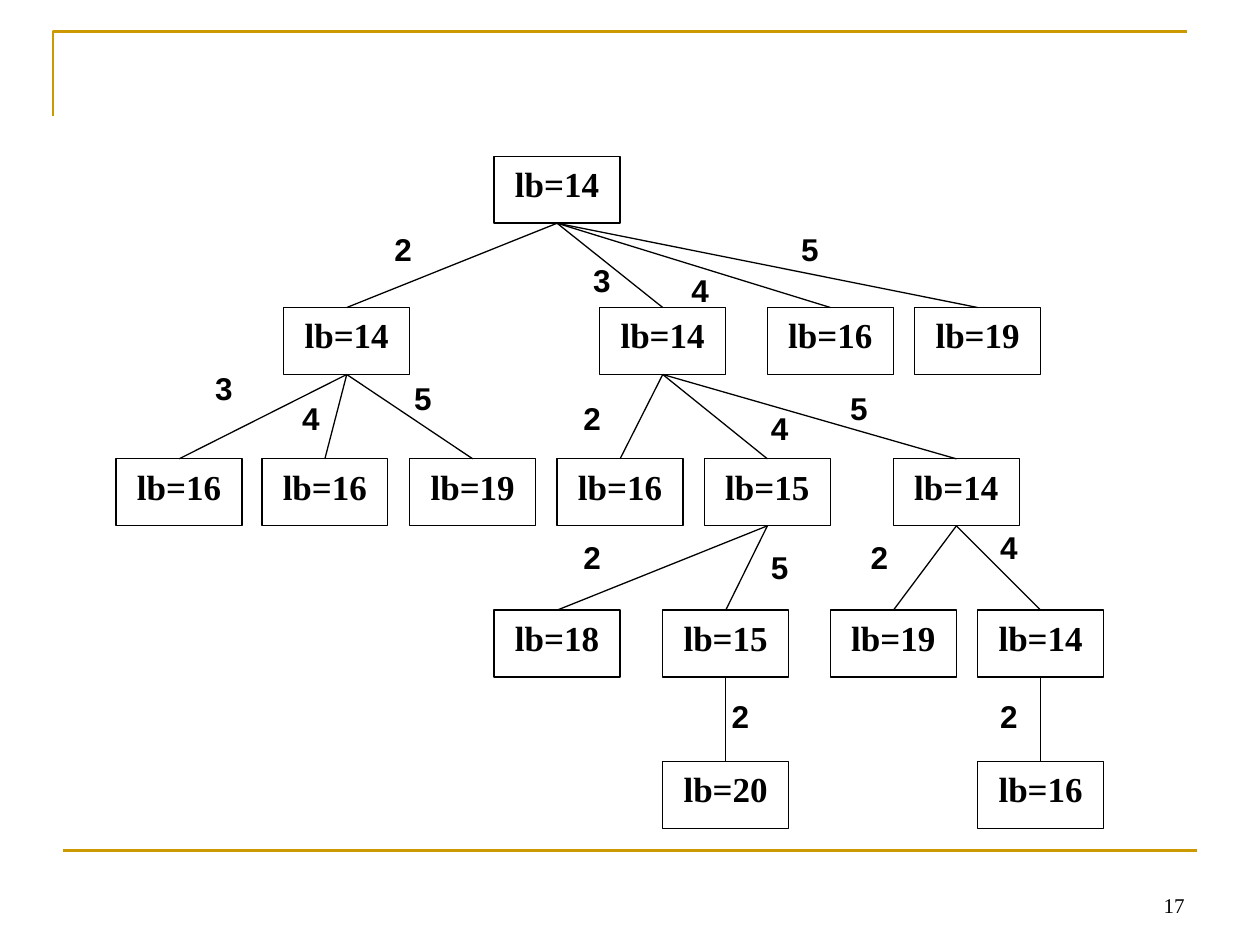
from pptx import Presentation
from pptx.dml.color import RGBColor as Rgb
from pptx.enum.shapes import MSO_CONNECTOR as Link, MSO_SHAPE as Shape
from pptx.enum.text import MSO_ANCHOR as Anchor, PP_ALIGN as Align
from pptx.oxml.ns import qn
from pptx.util import Cm, Pt
from lxml import etree

COLORS = {"gold": "CC9900", "ink": "000000", "paper": "FFFFFF"}
SERIF, SANS = "Times New Roman", "Arial"

BOX_W, BOX_H = 2.54, 1.35
TOP, STEP = 3.15, 3.05  # first row and distance between rows

# key: (row, centre x, bound, parent, branch label, label left, label top)
NODES = {
    "root": (0, 11.23, 14, None, None, 0, 0),
    "a": (1, 6.99, 14, "root", 2, 7.7, 4.52),
    "b": (1, 13.36, 14, "root", 3, 11.71, 5.13),
    "c": (1, 16.74, 16, "root", 4, 13.69, 5.33),
    "d": (1, 19.71, 19, "root", 5, 15.9, 4.52),
    "a3": (2, 3.61, 16, "a", 3, 4.09, 7.32),
    "a4": (2, 6.55, 16, "a", 4, 5.84, 7.92),
    "a5": (2, 9.53, 19, "a", 5, 8.1, 7.52),
    "b2": (2, 12.5, 16, "b", 2, 11.51, 7.92),
    "b4": (2, 15.47, 15, "b", 4, 15.29, 8.13),
    "b5": (2, 19.28, 14, "b", 5, 16.89, 7.72),
    "b42": (3, 11.23, 18, "b4", 2, 11.51, 10.72),
    "b45": (3, 14.63, 15, "b4", 5, 15.29, 10.92),
    "b52": (3, 18.01, 19, "b5", 2, 17.3, 10.72),
    "b54": (3, 20.98, 14, "b5", 4, 19.91, 10.52),
    "b452": (4, 14.63, 20, "b45", 2, 14.5, 13.92),
    "b542": (4, 20.98, 16, "b54", 2, 19.91, 13.92),
}


def color(name):
    return Rgb.from_string(COLORS[name])


def stroke(item, name, width):
    item.line.color.rgb = color(name)
    item.line.width = Pt(width)


def write(item, text, font, size, bold=True, align=Align.LEFT, anchor=Anchor.TOP):
    frame = item.text_frame
    frame.text = text
    frame.word_wrap = True
    frame.vertical_anchor = anchor
    para = frame.paragraphs[0]
    para.alignment = align
    face = para.runs[0].font
    face.name, face.size, face.bold = font, Pt(size), bold
    face.color.rgb = color("ink")


def add_line(slide, x1, y1, x2, y2, name="ink", width=0.74):
    line = slide.shapes.add_connector(Link.STRAIGHT, Cm(x1), Cm(y1), Cm(x2), Cm(y2))
    stroke(line, name, width)
    etree.SubElement(line._element.spPr, qn("a:effectLst"))
    return line


def add_text(slide, x, y, w, h, text, font, size, **style):
    box = slide.shapes.add_textbox(Cm(x), Cm(y), Cm(w), Cm(h))
    write(box, text, font, size, **style)


def add_node(slide, row, mid, bound):
    box = slide.shapes.add_shape(
        Shape.RECTANGLE, Cm(mid - BOX_W / 2), Cm(TOP + STEP * row), Cm(BOX_W), Cm(BOX_H))
    box.shadow.inherit = False
    box.fill.solid()
    box.fill.fore_color.rgb = color("paper")
    stroke(box, "ink", 0.74)
    write(box, f"lb={bound}", SERIF, 20, align=Align.CENTER)
    return box


def add_branch(slide, start, end):
    line = add_line(slide, 0, 0, 1, 1)
    line.begin_connect(start, 2)  # bottom of the parent
    line.end_connect(end, 0)  # top of the child


def add_frame(slide):
    pen = slide.shapes.build_freeform(Cm(1.07), Cm(2.34))
    pen.add_line_segments([(Cm(1.07), Cm(0.64)), (Cm(23.93), Cm(0.64))], close=False)
    corner = pen.convert_to_shape()
    corner.shadow.inherit = False
    corner.fill.background()
    stroke(corner, "gold", 1.5)
    add_line(slide, 1.27, 17.15, 24.13, 17.15, "gold", 1.5)


def add_tree(slide):
    boxes = {key: add_node(slide, *node[:3]) for key, node in NODES.items()}
    for key, (_, _, _, parent, label, x, y) in NODES.items():
        if parent:
            add_branch(slide, boxes[parent], boxes[key])
            add_text(slide, x, y, 1.4, 1.02, str(label), SANS, 18)


def main():
    deck = Presentation()
    deck.slide_width, deck.slide_height = Cm(25.4), Cm(19.05)
    slide = deck.slides.add_slide(deck.slide_layouts[6])
    add_frame(slide)
    add_tree(slide)
    # Page number
    add_text(slide, 18.21, 17.35, 5.92, 1.27, "17", SERIF, 12,
             bold=False, align=Align.RIGHT, anchor=Anchor.BOTTOM)
    deck.save("out.pptx")


main()
